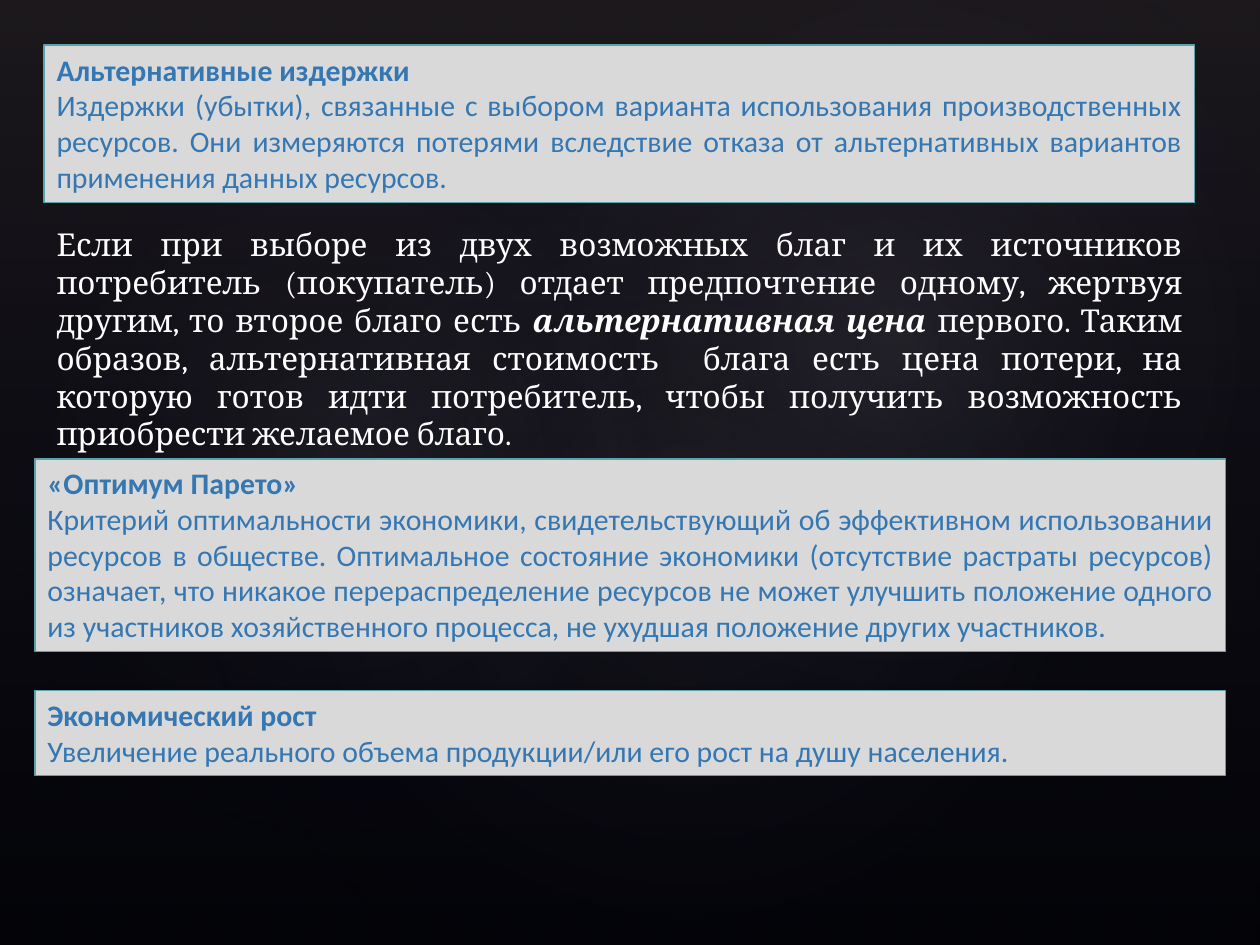
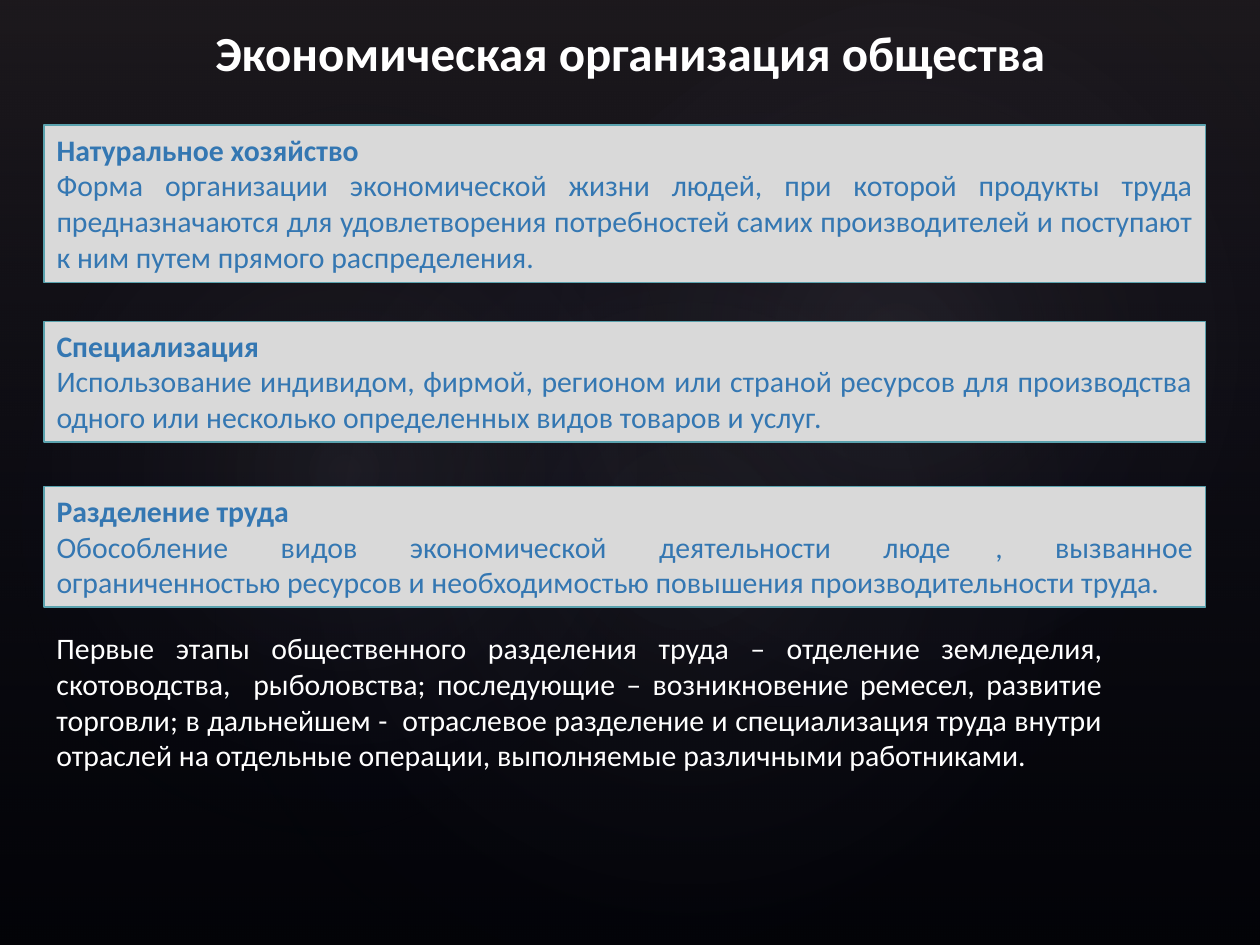
from pptx import Presentation
from pptx.dml.color import RGBColor
from pptx.enum.shapes import MSO_SHAPE
from pptx.enum.text import MSO_ANCHOR, MSO_AUTO_SIZE, PP_ALIGN
from pptx.oxml import parse_xml
from pptx.oxml.ns import nsdecls
from pptx.util import Pt

WHITE, BLUE, GREY, TEAL = "FFFFFF", "3477B2", "D9D9D9", "5AA2AE"


def tint(target, code):
    """Give a solid fill, a line's fill or a font its colour."""
    if hasattr(target, "solid"):
        target.solid()
        target.fore_color.rgb = RGBColor.from_string(code)
    else:
        target.color.rgb = RGBColor.from_string(code)


def write(frame, paras, size, face, code, align=PP_ALIGN.JUSTIFY):
    """Fill a frame with paragraphs of (text, bold, italic) runs."""
    frame.word_wrap = True
    frame.auto_size = MSO_AUTO_SIZE.SHAPE_TO_FIT_TEXT
    for i, runs in enumerate(paras):
        para = frame.paragraphs[0] if i == 0 else frame.add_paragraph()
        para.alignment = align
        for text, bold, slant in runs:
            run = para.add_run()
            run.text = text
            font = run.font
            font.size, font.name = Pt(size), face
            font.bold, font.italic = bold, slant
            tint(font, code)


deck = Presentation()
deck.slide_width, deck.slide_height = Pt(720), Pt(540)
first = deck.slides.add_slide(deck.slide_layouts[6])
second = deck.slides.add_slide(deck.slide_layouts[5])

# Shared backdrop: black, a soft veil and three glows, kept on the master
master = deck.slide_master
tint(master.background.fill, "000000")
RECT, OVAL = MSO_SHAPE.RECTANGLE, MSO_SHAPE.OVAL
DOWN = '<a:lin ang="5400000" scaled="0"/>'
ROUND = ('<a:path path="circle"><a:fillToRect l="50000" t="50000" '
         'r="50000" b="50000"/></a:path>')
veil = [(0, "504652", 36), (100, "242852", 10)]
dim, glow = [[(0, "C4BCC6", a), (58, "242852", 0)] for a in (7, 8)]
layers = [
    (RECT, (0, 0, 720, 540), 0, veil, DOWN),
    (OVAL, (108, 82, 570, 449), 328.7, dim, ROUND),
    (OVAL, (-21.6, 92, 436, 353), 294.3, glow, ROUND),
    (OVAL, (258, 9.4, 510, 374), 328.7, glow, ROUND),
]
for i, (kind, place, turn, stops, way) in enumerate(layers):
    layer = first.shapes.add_shape(kind, *map(Pt, place))
    layer.rotation = turn
    layer.shadow.inherit = False
    layer.line.fill.background()
    layer.fill.background()
    marks = "".join(
        f'<a:gs pos="{pos * 1000}"><a:srgbClr val="{code}">'
        f'<a:alpha val="{alpha * 1000}"/></a:srgbClr></a:gs>'
        for pos, code, alpha in stops)
    fade = parse_xml(f'<a:gradFill {nsdecls("a")} rotWithShape="1">'
                     f'<a:gsLst>{marks}</a:gsLst>{way}</a:gradFill>')
    props = layer.element.spPr
    props.replace(props.find("{*}noFill"), fade)
    master.element.cSld.spTree.insert(2 + i, layer.element)

# Title of the second slide
title = second.shapes.title
title.left, title.top, title.width, title.height = map(Pt, (20, 9.4, 680, 41))
title.text_frame.vertical_anchor = MSO_ANCHOR.MIDDLE
write(title.text_frame, [[("Экономическая организация общества", True, False)]],
      28, "Calibri", WHITE, PP_ALIGN.CENTER)

# Definition panels: slide, place, term, meaning
panels = [
    (first, (25.2, 25.8, 657.5, 90), "Альтернативные издержки",
     "Издержки (убытки), связанные с выбором варианта использования "
     "производственных ресурсов. Они измеряются потерями вследствие отказа "
     "от альтернативных вариантов применения данных ресурсов."),
    (first, (20, 262.2, 680.4, 110), "«Оптимум Парето»",
     "Критерий оптимальности экономики, свидетельствующий об эффективном "
     "использовании ресурсов в обществе. Оптимальное состояние экономики "
     "(отсутствие растраты ресурсов) означает, что никакое перераспределение "
     "ресурсов не может улучшить положение одного из участников "
     "хозяйственного процесса, не ухудшая положение других участников."),
    (first, (20, 394.6, 680.4, 48.4), "Экономический рост",
     "Увеличение реального объема продукции/или его рост на душу населения."),
    (second, (25.2, 71.5, 663.5, 90), "Натуральное хозяйство",
     "Форма организации экономической жизни людей, при которой продукты "
     "труда предназначаются для удовлетворения потребностей самих "
     "производителей и поступают к ним путем прямого распределения."),
    (second, (25.2, 183.6, 663.5, 69), "Специализация",
     "Использование индивидом, фирмой, регионом или страной ресурсов для "
     "производства одного или несколько определенных видов товаров и услуг."),
    (second, (25.2, 278, 663.5, 69), "Разделение труда",
     "Обособление видов экономической деятельности люде\t, вызванное "
     "ограниченностью ресурсов и необходимостью повышения "
     "производительности труда."),
]
for slide, place, term, sense in panels:
    panel = slide.shapes.add_shape(RECT, *map(Pt, place))
    panel.shadow.inherit = False
    tint(panel.fill, GREY)
    tint(panel.line.fill, TEAL)
    panel.line.width = Pt(0.75)
    panel.text_frame.vertical_anchor = MSO_ANCHOR.TOP
    write(panel.text_frame, [[(term, True, False)], [(sense, False, False)]],
          17, "Calibri", BLUE)

# Plain notes in white: slide, place, size, font, runs
notes = [
    (first, (25.2, 125.3, 657.5, 117), 18, "Cambria", [
        ("Если при выборе из двух возможных благ и их источников потребитель "
         "(покупатель) отдает предпочтение одному, жертвуя другим, то второе "
         "благо есть ", False, False),
        ("альтернативная цена ", True, True),
        ("первого. Таким образов, альтернативная стоимость  блага есть цена "
         "потери, на которую готов идти потребитель, чтобы получить "
         "возможность приобрести желаемое благо.", False, False)]),
    (second, (25.2, 356.4, 612, 90), 17, "Calibri", [
        ("Первые этапы общественного разделения труда – отделение земледелия, "
         "скотоводства,  рыболовства; последующие – возникновение ремесел, "
         "развитие торговли; в дальнейшем -  отраслевое разделение и "
         "специализация труда внутри отраслей на отдельные операции, "
         "выполняемые различными работниками.", False, False)]),
]
for slide, place, size, face, runs in notes:
    note = slide.shapes.add_textbox(*map(Pt, place))
    write(note.text_frame, [runs], size, face, WHITE)

deck.save("out.pptx")
